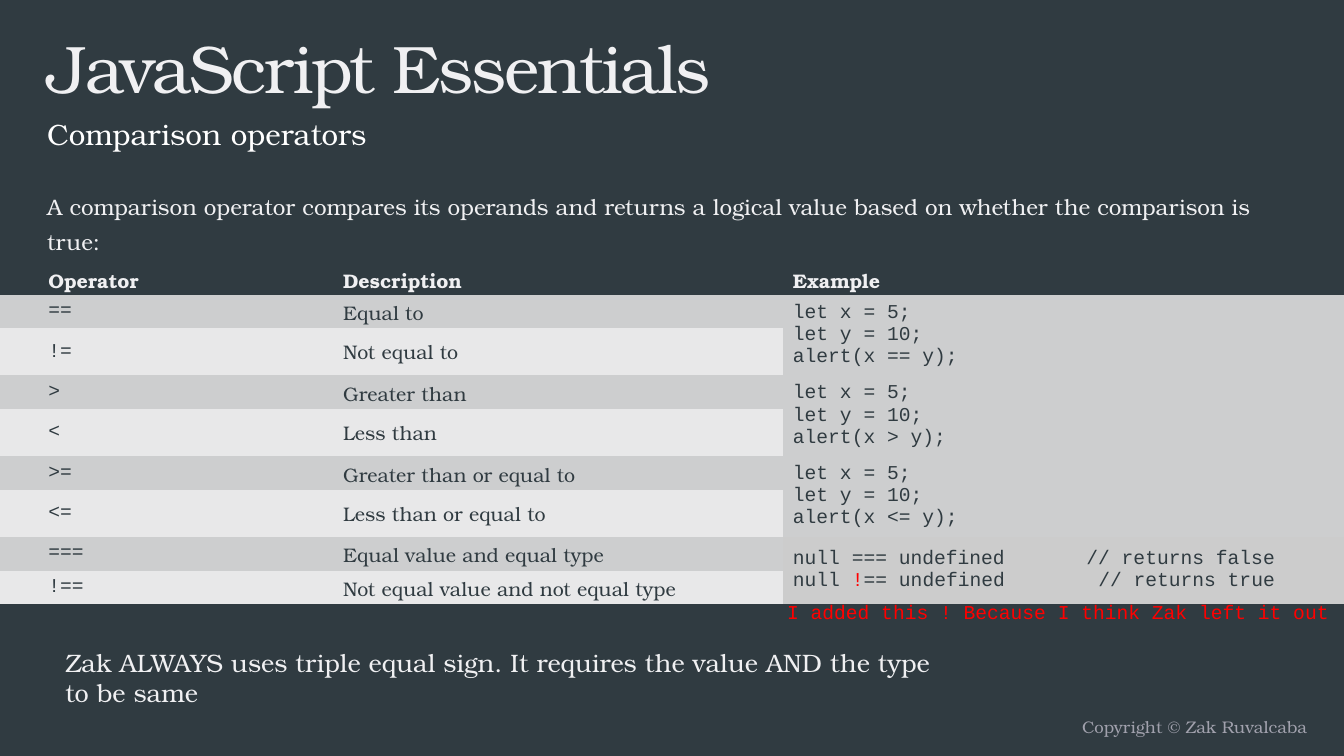
import pptx
import pptx.dml.color
import pptx.enum.text
import pptx.util
from lxml import etree

Pt = pptx.util.Pt
RGBColor = pptx.dml.color.RGBColor
ALIGN = pptx.enum.text.PP_ALIGN
ANCHOR = pptx.enum.text.MSO_ANCHOR

# Content
TITLE = "JavaScript Essentials"
SUBTITLE = "Comparison operators"
INTRO = ("A comparison operator compares its operands and returns a logical value "
         "based on whether the comparison is true:")
ADVICE = ("Zak ALWAYS uses triple equal sign. It requires the value AND the type "
          "to be same")
REMARK = "I added this ! Because I think Zak left it out"
COPYRIGHT = "Copyright © Zak Ruvalcaba"
HEADINGS = ["Operator", "Description", "Example"]
OPERATORS = [
    ("==", "Equal to"),
    ("!=", "Not equal to"),
    (">", "Greater than"),
    ("<", "Less than"),
    (">=", "Greater than or equal to"),
    ("<=", "Less than or equal to"),
    ("===", "Equal value and equal type"),
    ("!==", "Not equal value and not equal type"),
]
# One example for each pair of operators; every second piece of a line is red
EXAMPLES = [
    [["let x = 5;"], ["let y = 10;"], ["alert(x == y);"]],
    [["let x = 5;"], ["let y = 10;"], ["alert(x > y);"]],
    [["let x = 5;"], ["let y = 10;"], ["alert(x <= y);"]],
    [["null === undefined\t// returns false"],
     ["null ", "!", "== undefined\t// returns true"]],
]

# Style
SERIF, MONO = "TeX Gyre Bonum", "Courier New"
SLATE = RGBColor(0x30, 0x3B, 0x41)
PALE = RGBColor(0xF0, 0xF0, 0xF2)
WHITE = RGBColor(0xFF, 0xFF, 0xFF)
MUTED = RGBColor(0xA1, 0xA1, 0xAD)
RED = RGBColor(0xFF, 0x00, 0x00)
DARK_BAND = RGBColor(0xCD, 0xCE, 0xCF)
LIGHT_BAND = RGBColor(0xE8, 0xE8, 0xE9)
LAST_EXAMPLE = RGBColor(0xCC, 0xCC, 0xCC)
PLAIN_TABLE = "{2D5ABB26-0587-4C30-8999-92F81FD0307C}"

# Layout in points
SLIDE_WIDTH, SLIDE_HEIGHT = 960, 540
MARGIN = 26.64
TABLE_TOP, TABLE_HEIGHT = 186.5, 244.8
COLUMNS = [237.9, 321.3, 400.8]
ROW_MINIMUM = 17.28  # rows grow to fit their text and the table height
OPERATOR_INSET = 34.56
COMMENT_END = 344.5


def add_span(para, text, font, size, color, bold=False):
    span = para.add_run()
    span.text = text
    span.font.name, span.font.size, span.font.bold = font, Pt(size), bold
    span.font.color.rgb = color
    return span


def add_text(page, left, top, width, height, text, size, color,
             font=SERIF, align=ALIGN.LEFT, spacing=None, wrap=True):
    box = page.shapes.add_textbox(Pt(left), Pt(top), Pt(width), Pt(height))
    box.text_frame.word_wrap = wrap
    para = box.text_frame.paragraphs[0]
    para.alignment, para.line_spacing = align, spacing
    return add_span(para, text, font, size, color)


def style_cell(cell, fill):
    cell.fill.solid()
    cell.fill.fore_color.rgb = fill
    cell.vertical_anchor = ANCHOR.MIDDLE
    return cell.text_frame.paragraphs[0]


def add_right_tab(para, position):
    properties = para._p.get_or_add_pPr()
    stops = etree.SubElement(properties, pptx.oxml.ns.qn("a:tabLst"))
    etree.SubElement(stops, pptx.oxml.ns.qn("a:tab"), pos=str(Pt(position)), algn="r")


def fill_example(table, row, lines, fill):
    cell, covered = table.cell(row, 2), table.cell(row + 1, 2)
    style_cell(covered, fill).font.size = Pt(14)
    cell.merge(covered)
    para = style_cell(cell, fill)
    for number, pieces in enumerate(lines):
        if number:
            para = cell.text_frame.add_paragraph()
        if "\t" in pieces[-1]:
            add_right_tab(para, COMMENT_END)
        for index, piece in enumerate(pieces):
            add_span(para, piece, MONO, 14, RED if index % 2 else SLATE)


def add_operator_table(page):
    frame = page.shapes.add_table(len(OPERATORS) + 1, len(COLUMNS), Pt(0),
                                  Pt(TABLE_TOP), Pt(sum(COLUMNS)), Pt(TABLE_HEIGHT))
    table = frame.table
    table.first_row = table.horz_banding = False
    table._tbl.tblPr.find(pptx.oxml.ns.qn("a:tableStyleId")).text = PLAIN_TABLE
    for column, width in zip(table.columns, COLUMNS):
        column.width = Pt(width)
    for row in table.rows:
        row.height = Pt(ROW_MINIMUM)
        row.cells[0].margin_left = Pt(OPERATOR_INSET)
    frame.height = Pt(TABLE_HEIGHT)

    for column, heading in enumerate(HEADINGS):
        para = style_cell(table.cell(0, column), SLATE)
        add_span(para, heading, SERIF, 14, PALE, bold=True)
    for row, texts in enumerate(OPERATORS, start=1):
        band = DARK_BAND if row % 2 else LIGHT_BAND
        for column, (text, font) in enumerate(zip(texts, (MONO, SERIF))):
            add_span(style_cell(table.cell(row, column), band), text, font, 14, SLATE)
    for number, lines in enumerate(EXAMPLES):
        fill = LAST_EXAMPLE if lines is EXAMPLES[-1] else DARK_BAND
        fill_example(table, 1 + 2 * number, lines, fill)


def main():
    deck = pptx.Presentation()
    deck.slide_width, deck.slide_height = Pt(SLIDE_WIDTH), Pt(SLIDE_HEIGHT)
    page = deck.slides.add_slide(deck.slide_layouts[6])
    page.background.fill.solid()
    page.background.fill.fore_color.rgb = SLATE

    # Footer, headings and introduction
    add_text(page, 480, 508.3, 461, 22.3, COPYRIGHT, 12, MUTED, align=ALIGN.RIGHT)
    title = add_text(page, MARGIN, 15.1, 846.7, 56.9, TITLE, 48, PALE)
    title._r.get_or_add_rPr().set("spc", "-150")
    add_text(page, MARGIN, 128.6, 908.6, 368.6, INTRO, 16, PALE, spacing=1.3)
    add_text(page, MARGIN, 71.8, 846.7, 28.1, SUBTITLE, 21, WHITE, spacing=1.3)

    # Operators and closing notes
    add_operator_table(page)
    add_text(page, 39.6, 458.6, 640, 51.1, ADVICE, 18, PALE)
    add_text(page, 555.1, 424.8, 404.6, 24.5, REMARK, 14, RED, font=MONO, wrap=False)

    deck.save("out.pptx")


if __name__ == "__main__":
    main()
